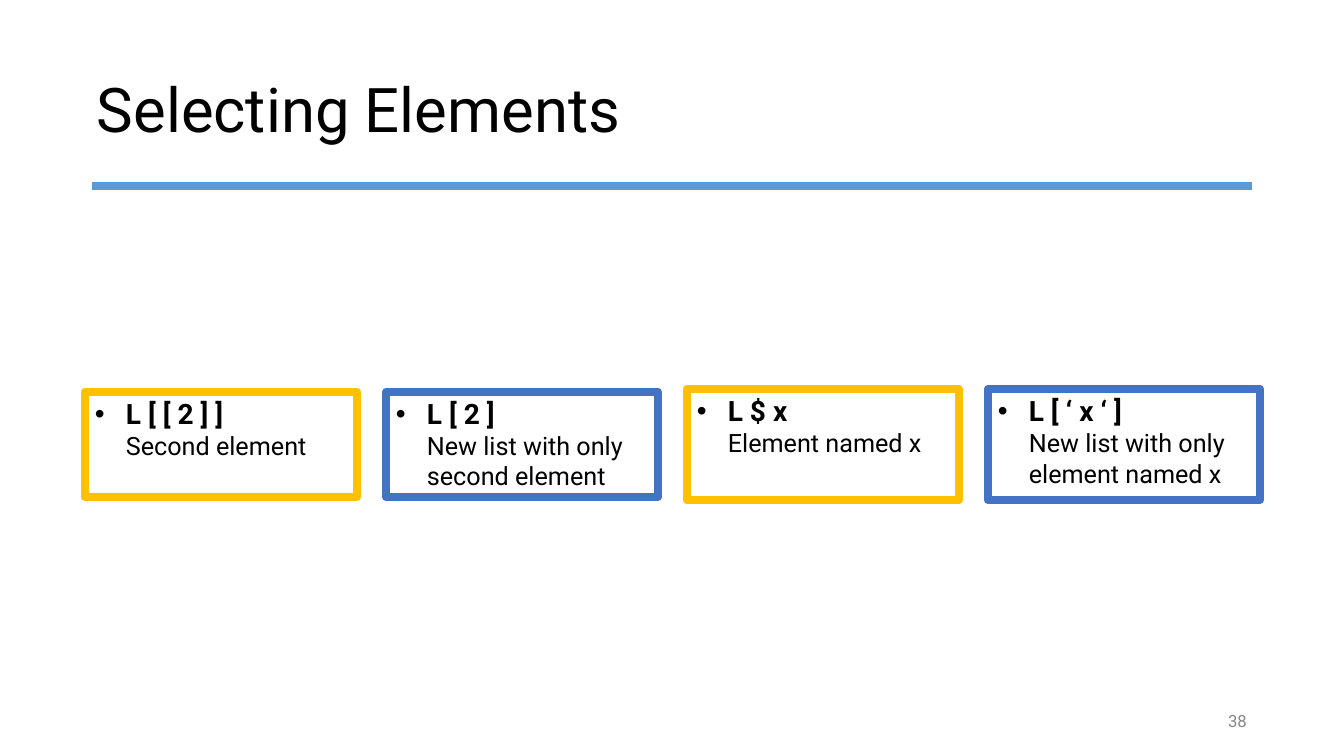
from lxml import etree
from pptx import Presentation
from pptx import util as u
from pptx.dml.color import RGBColor
from pptx.enum import shapes, text
from pptx.oxml.ns import qn

FONT = "Roboto"
BLACK, GREY, WHITE = "000000", "888888", "FFFFFF"
RULE, GOLD, BLUE = "5B9BD5", "FFC000", "4472C4"

TITLE = "Selecting Elements"
PAGE_NUMBER = "38"
# colour, top, height, expression, explanation lines
SELECTORS = [
    (GOLD, 392, 105, "L [ [ 2 ] ]", ["Second element"]),
    (BLUE, 392, 105, "L [ 2 ]", ["New list with only", "second element"]),
    (GOLD, 389, 111, "L $ x", ["Element named x"]),
    (BLUE, 389, 111, "L [ ‘ x ‘ ]", ["New list with only", "element named x"]),
]
FIRST_LEFT, BOX_WIDTH, PITCH = 85, 272, 301
INDENT = 31
LINE_WIDTH = 6


def px(length):
    return u.Emu(round(length * 914400 / 100.8))


def colour(value):
    return RGBColor.from_string(value)


def style(para, size, shade, bold=False):
    for span in para.runs:
        font = span.font
        font.name, font.size, font.bold = FONT, u.Pt(size), bold
        font.color.rgb = colour(shade)


def add_text(page, left, top, width, height, words, size, shade, wrap=True):
    box = page.shapes.add_textbox(px(left), px(top), px(width), px(height))
    frame = box.text_frame
    frame.word_wrap = wrap
    frame.vertical_anchor = text.MSO_ANCHOR.MIDDLE
    frame.margin_left = frame.margin_right = px(5)
    frame.margin_top = frame.margin_bottom = px(5)
    frame.text = words
    para = frame.paragraphs[0]
    style(para, size, shade)
    return para


def indent(para, bullet=None):
    """Hang the bullet, or line plain text up with the bulleted text."""
    properties = para._p.get_or_add_pPr()
    properties.set("marL", str(px(INDENT)))
    properties.set("indent", str(px(-INDENT) if bullet else 0))
    if bullet:
        etree.SubElement(properties, qn("a:buFont"), typeface="Arial")
        etree.SubElement(properties, qn("a:buChar"), char=bullet)


def add_selector(page, left, border, top, height, expression, explanation):
    box = page.shapes.add_shape(shapes.MSO_SHAPE.RECTANGLE, px(left), px(top),
                                px(BOX_WIDTH), px(height))
    box.shadow.inherit = False
    box.fill.solid()
    box.fill.fore_color.rgb = colour(WHITE)
    box.line.color.rgb = colour(border)
    box.line.width = u.Pt(LINE_WIDTH)
    etree.SubElement(box.line._get_or_add_ln(), qn("a:round"))

    frame = box.text_frame
    frame.word_wrap = True
    frame.vertical_anchor = text.MSO_ANCHOR.TOP
    frame.text = "\n".join([expression] + explanation)
    for index, para in enumerate(frame.paragraphs):
        heading = index == 0
        indent(para, "•" if heading else None)
        para.alignment = text.PP_ALIGN.LEFT
        style(para, 20 if heading else 18, BLACK, heading)


def main():
    deck = Presentation()
    deck.slide_width, deck.slide_height = px(1344), px(756)
    page = deck.slides.add_slide(deck.slide_layouts[6])

    title = add_text(page, 92, 40, 1160, 146, TITLE, 44, BLACK)
    title.line_spacing = 0.9
    number = add_text(page, 1222, 706, 30, 29, PAGE_NUMBER, 12, GREY, wrap=False)
    number.alignment = text.PP_ALIGN.RIGHT

    rule = page.shapes.add_connector(shapes.MSO_CONNECTOR.STRAIGHT,
                                     px(92), px(186), px(1252), px(186))
    rule.line.color.rgb = colour(RULE)
    rule.line.width = u.Pt(LINE_WIDTH)
    etree.SubElement(rule._element.spPr, qn("a:effectLst"))

    for index, selector in enumerate(SELECTORS):
        add_selector(page, FIRST_LEFT + index * PITCH, *selector)

    deck.save("out.pptx")


if __name__ == "__main__":
    main()
